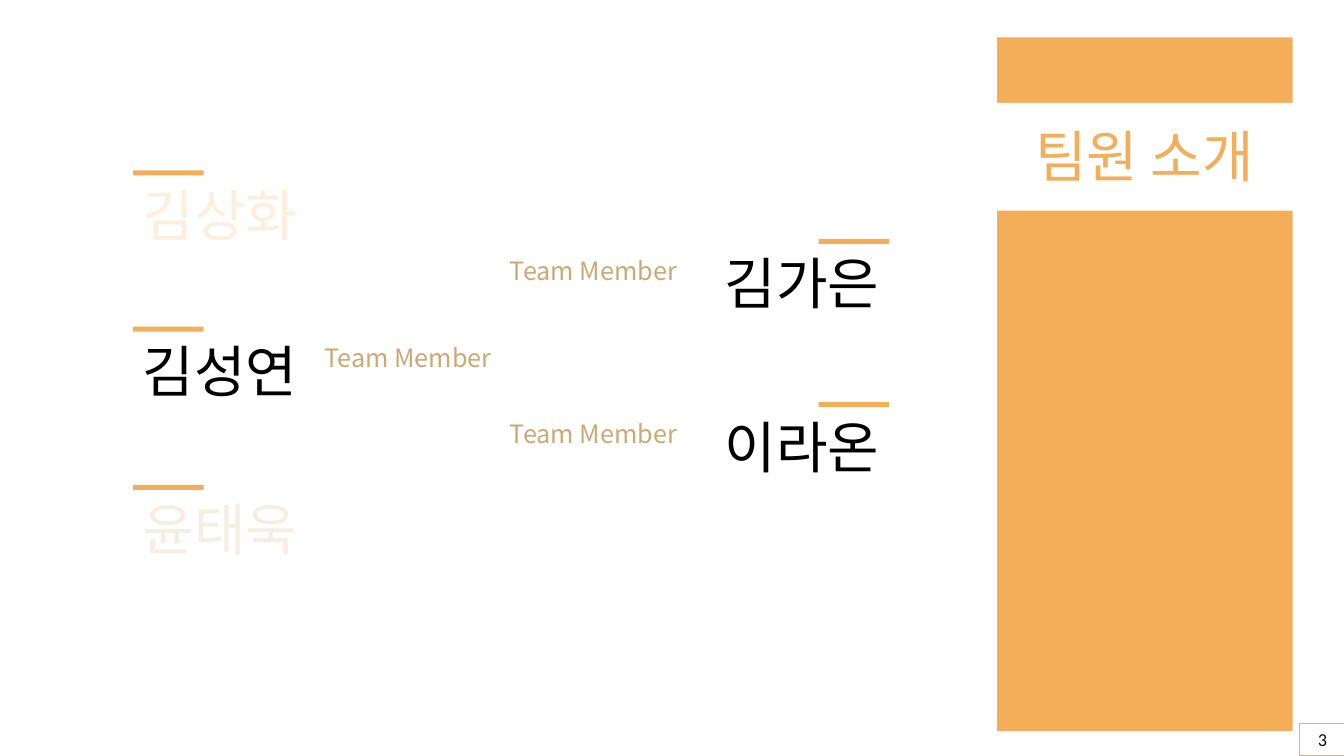
import pptx
import pptx.util
import pptx.dml.color
import pptx.enum.shapes
import pptx.enum.text
import pptx.oxml.ns
import lxml.etree

Inches = pptx.util.Inches
ALIGN = pptx.enum.text.PP_ALIGN
ANCHOR = pptx.enum.text.MSO_ANCHOR
FIT = pptx.enum.text.MSO_AUTO_SIZE
SANS = "Noto Sans CJK KR"
ORANGE = "F4AE59"
TAN = "CDA874"
BLACK = "000000"


def color(code):
    return pptx.dml.color.RGBColor.from_string(code)


def write(frame, text, size, code, align=ALIGN.LEFT, font=SANS):
    """Write one formatted run and return its paragraph."""
    frame.word_wrap = True
    para = frame.paragraphs[0]
    para.alignment = align
    run = para.add_run()
    run.text = text
    run.font.name = font
    run.font.size = pptx.util.Pt(size)
    run.font.color.rgb = color(code)
    # Hangul takes its typeface from the East Asian slot
    east = lxml.etree.SubElement(run.font._element, pptx.oxml.ns.qn("a:ea"))
    east.set("typeface", font)
    return para


def block(slide, x, y, w, h, fill=None, line=None):
    kind = pptx.enum.shapes.MSO_SHAPE.RECTANGLE
    shape = slide.shapes.add_shape(kind, Inches(x), Inches(y), Inches(w), Inches(h))
    shape.shadow.inherit = False
    if fill:
        shape.fill.solid()
        shape.fill.fore_color.rgb = color(fill)
    else:
        shape.fill.background()
    if line:
        shape.line.color.rgb = color(line)
        shape.line.width = pptx.util.Pt(0.75)
    else:
        shape.line.fill.background()
    return shape


def label(slide, x, y, w, h, text, size, code, align=ALIGN.LEFT):
    box = slide.shapes.add_textbox(Inches(x), Inches(y), Inches(w), Inches(h))
    write(box.text_frame, text, size, code, align)
    box.text_frame.auto_size = FIT.SHAPE_TO_FIT_TEXT


def panel(slide, x, y, w, h):
    """Orange side panel, with the title on a white band across it."""
    block(slide, x, y, w, h, ORANGE)
    title = slide.shapes.title
    title.left, title.top = Inches(x - 0.22), Inches(y + 0.65)
    title.width, title.height = Inches(w + 0.43), Inches(1.07)
    title.fill.solid()
    title.fill.fore_color.rgb = color("FFFFFF")
    frame = title.text_frame
    frame.auto_size = FIT.NONE
    frame.vertical_anchor = ANCHOR.MIDDLE
    frame.margin_left = frame.margin_top = frame.margin_right = Inches(0.1)
    frame.margin_bottom = Inches(0.05)
    write(frame, "팀원 소개", 40, ORANGE, ALIGN.CENTER).line_spacing = 0.9
    # Bring the title in front of the panel
    slide.shapes._spTree.append(title._element)


def member(slide, x, y, w, name, code, right=False, role=None):
    """Short bar, name below it, and the role beside the name."""
    bar = 0.7
    block(slide, x + w - bar if right else x, y, bar, 0.05, ORANGE)
    label(slide, x, y + 0.05, w, 0.77, name, 40, code,
          ALIGN.RIGHT if right else ALIGN.LEFT)
    if role:
        label(slide, x - 1.22 if right else x + 1.8, y + 0.11, 2.14, 0.4,
              role, 18, TAN)


def number(slide, x, y, w, h):
    """Page number in a thin frame."""
    shape = block(slide, x, y, w, h, line=ORANGE)
    shape.text_frame.vertical_anchor = ANCHOR.TOP
    write(shape.text_frame, "3", 13, "0C0C0C", ALIGN.CENTER, "Calibri")


def main():
    deck = pptx.Presentation()
    deck.slide_width, deck.slide_height = Inches(13.33), Inches(7.5)
    slide = deck.slides.add_slide(deck.slide_layouts[5])
    panel(slide, 9.89, 0.37, 2.93, 6.88)

    # Left and right columns of members
    role = "Team Member"
    left, right, wide = 1.32, 6.18, 2.64
    member(slide, left, 1.69, wide, "김상화", "FDEFDE")
    member(slide, left, 3.24, wide, "김성연", BLACK, role=role)
    member(slide, left, 4.81, wide, "윤태욱", "F5EEE3")
    member(slide, right, 2.37, wide, "김가은", BLACK, True, role)
    member(slide, right, 3.99, wide, "이라온", BLACK, True, role)

    number(slide, 12.89, 7.18, 0.45, 0.32)
    deck.save("out.pptx")


if __name__ == "__main__":
    main()
